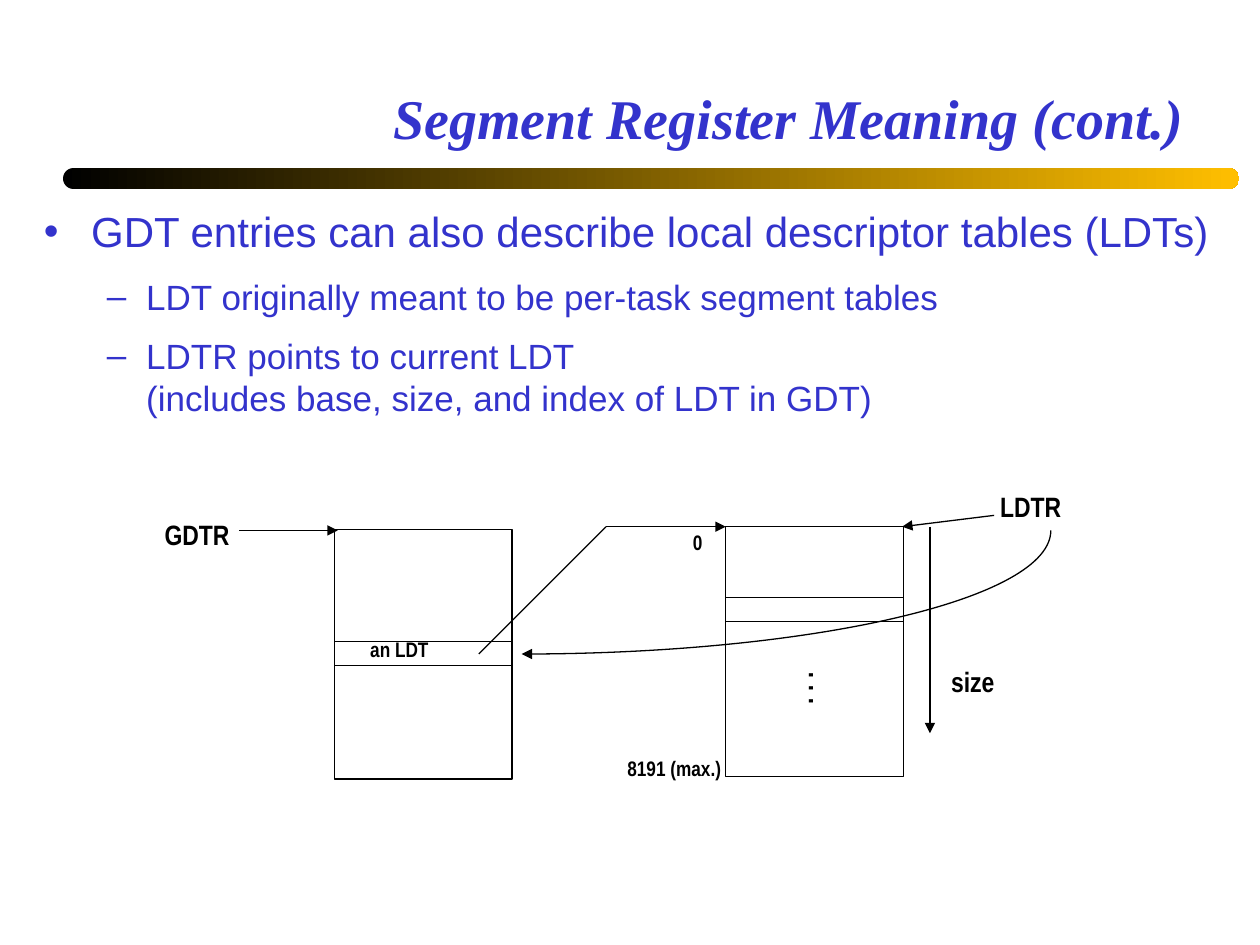
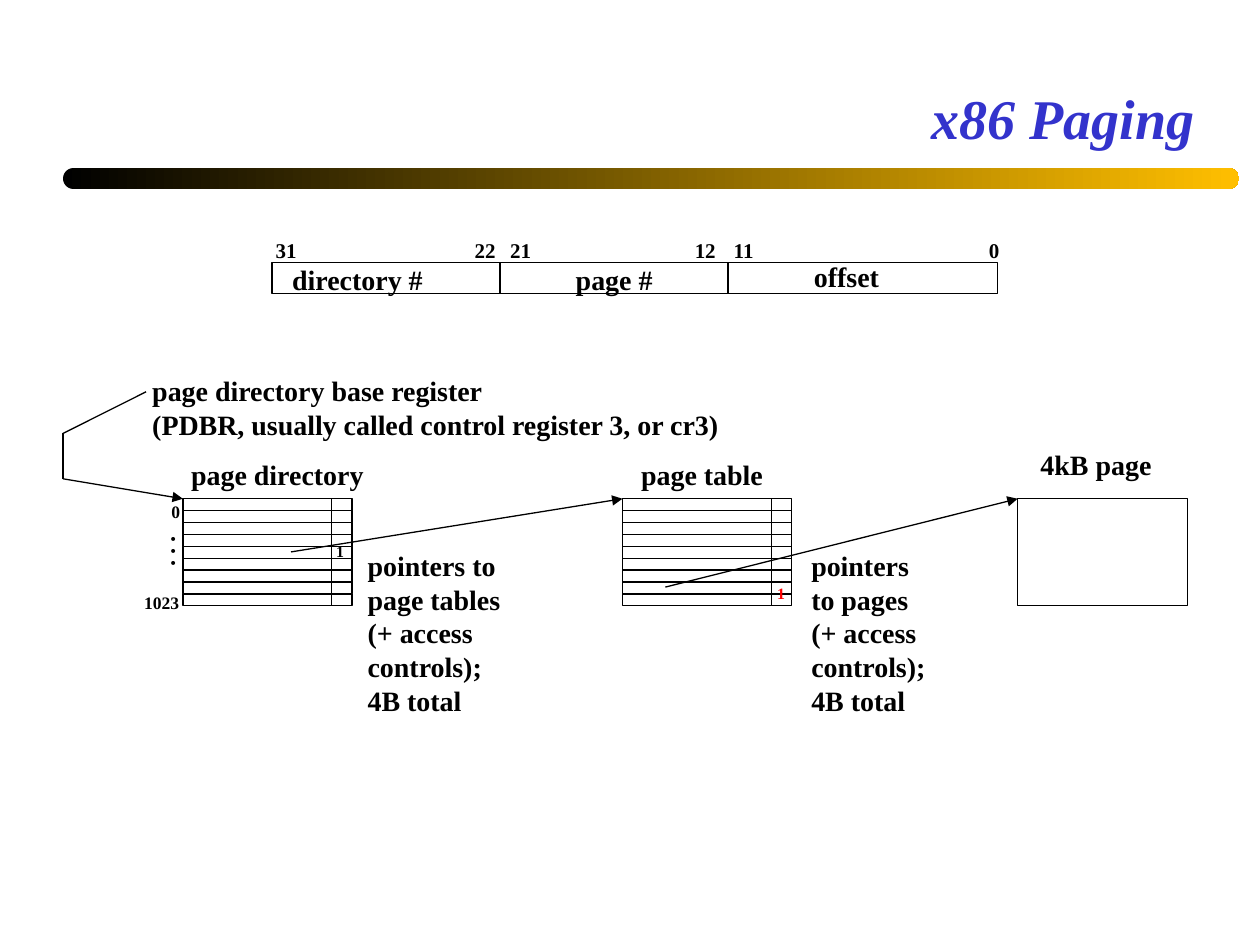
from lxml import etree
from pptx import Presentation
from pptx.dml.color import RGBColor
from pptx.enum.shapes import MSO_CONNECTOR, MSO_SHAPE
from pptx.enum.text import MSO_ANCHOR, MSO_AUTO_SIZE, PP_ALIGN
from pptx.oxml.ns import qn
from pptx.util import Pt

RECT, BAND = MSO_SHAPE.RECTANGLE, MSO_SHAPE.ROUNDED_RECTANGLE
STRAIGHT = MSO_CONNECTOR.STRAIGHT
LEFT, RIGHT = PP_ALIGN.LEFT, PP_ALIGN.RIGHT
TOP, BOTTOM = MSO_ANCHOR.TOP, MSO_ANCHOR.BOTTOM
FIT = MSO_AUTO_SIZE.SHAPE_TO_FIT_TEXT

BLACK, BLUE, GOLD, RED = "000000", "3333CC", "FFBF00", "FF0000"
SANS, NARROW, SERIF = "Arial", "Arial Narrow", "Times New Roman"
LINE_WIDTH = 0.75
LABEL_SLACK = 3  # spare width that keeps a label on one line

# Bullet levels: size, bullet, left margin, hanging indent, space before and after
LEVELS = [(24, "•", 27, 27, 6), (20, "–", 58.5, 22.5, 5)]
BULLETS = [
    (0, "GDT entries can also describe local descriptor tables (LDTs)"),
    (1, "LDT originally meant to be per-task segment tables"),
    (1, "LDTR points to current LDT\n(includes base, size, and index of LDT in GDT)"),
]

# Descriptor tables: left, top, top of the marked entry
DESCRIPTOR_TABLES = [(191, 302.5, 366.5), (414.7, 301, 341.5)]
DESCRIPTOR_SIZE, ENTRY_HEIGHT = (101.7, 142.7), 13.7
# Labels: text, left, top, width, size, alignment
SEGMENT_LABELS = [
    ("GDTR", 87.1, 292, 51.1, 16, RIGHT),
    ("0", 388.8, 298.8, 19.4, 12, LEFT),
    ("8191 (max.)", 351.4, 428.4, 67.7, 12, LEFT),
    ("LDTR", 564.5, 276, 49, 16, RIGHT),
    ("an LDT", 204.5, 360, 47.5, 12, LEFT),
    ("size", 536.4, 376, 38.9, 16, LEFT),
]
# Each arrow is a chain of points with its head at the last one
SEGMENT_ARROWS = [
    [(136.8, 303.1), (193, 303.1)],
    [(273.6, 373.7), (346.3, 301), (414.7, 301)],
    [(568.1, 294.5), (515.5, 301)],
    [(531.4, 301), (531.4, 419)],
]
LDTR_CURVE = (298.1, 373.7), (600.5, 303.1)

# Address fields: name, width, left of name, top of name, width of name
FIELDS = [
    ("directory #", 130.3, 167, 149.8, 74.9),
    ("page #", 130.3, 329, 149.8, 43.9),
    ("offset", 154.1, 465.1, 148.3, 37.4),
]
FIELD_LEFT, FIELD_TOP, FIELD_HEIGHT = 155.5, 149.8, 18
# Bit numbers: text, left, width, alignment
BITS = [
    ("31", 150.5, 25.9, LEFT), ("22", 264.2, 25.9, LEFT),
    ("21", 284.4, 25.9, LEFT), ("12", 390.2, 25.9, RIGHT),
    ("11", 411.8, 25.9, RIGHT), ("0", 558, 20.2, RIGHT),
]
BITS_TOP = 132

PAGE_TABLES_LEFT = [104.5, 355.7]
PAGE_TOP, PAGE_TABLE_WIDTH, ROW_HEIGHT, ROWS, FLAG_OFFSET = 285, 96.7, 6.8, 9, 85
PAGE_BOX = (581.5, PAGE_TOP, 97.2, ROWS * ROW_HEIGHT)
PAGING_LABELS = [
    ("4kB page", 587.5, 252, 77.8, 16, LEFT),
    ("page table", 359.3, 257.8, 83.5, 16, LEFT),
    ("page directory", 102.2, 257.8, 113, 16, LEFT),
    ("page directory base register\n(PDBR, usually called control register 3, or cr3)",
     79.9, 210, 339.1, 16, LEFT),
    ("pointers to\npage tables\n(+ access\ncontrols);\n4B total", 203, 310, 90, 16, LEFT),
    ("pointers\nto pages\n(+ access\ncontrols);\n4B total", 456.5, 310, 79.9, 16, LEFT),
    ("1", 185, 306, 18.7, 9, LEFT),
    ("0", 90.7, 282.5, 19.4, 10, RIGHT),
    ("1023", 75.6, 334.8, 33.8, 10, RIGHT),
]
PAGING_ARROWS = [
    [(166.3, 315.4), (355.7, PAGE_TOP)],
    [(380.2, 335.5), (581.5, PAGE_TOP)],
    [(83.5, 223.9), (36, 247.7), (36, 273.6), (104.5, PAGE_TOP)],
]


def rgb(color):
    return RGBColor.from_string(color)


def add_run(p, text, size, font, color, bold=True, italic=False):
    r = p.add_run()
    r.text = text
    f = r.font
    f.size, f.name, f.bold, f.italic = Pt(size), font, bold, italic
    f.color.rgb = rgb(color)


def add_frame(s, x, y, w, h, wrap=True, anchor=TOP, inset=True):
    """Add an empty text box and return it with its text frame."""
    sp = s.shapes.add_textbox(Pt(x), Pt(y), Pt(w), Pt(h))
    tf = sp.text_frame
    tf.word_wrap, tf.vertical_anchor = wrap, anchor
    if not inset:
        tf.margin_left = tf.margin_right = tf.margin_top = tf.margin_bottom = 0
    return sp, tf


def add_label(s, text, x, y, w, size, align=LEFT, font=SERIF, color=BLACK, inset=True):
    """Add an unwrapped bold label, one paragraph per line, as high as its lines."""
    lines = text.split("\n")
    h = 1.2 * size * len(lines) + (7.2 if inset else 0)
    if align == RIGHT:
        x -= LABEL_SLACK
    sp, tf = add_frame(s, x, y, w + LABEL_SLACK, h, wrap=False, inset=inset)
    tf.auto_size = FIT
    for i, line in enumerate(lines):
        p = tf.add_paragraph() if i else tf.paragraphs[0]
        p.alignment = align
        add_run(p, line, size, font, color)
    return sp


def add_box(s, x, y, w, h):
    sp = s.shapes.add_shape(RECT, Pt(x), Pt(y), Pt(w), Pt(h))
    sp.shadow.inherit = False
    sp.fill.background()
    set_line(sp)


def set_line(sp, arrow=None):
    """Give a thin black line; arrow is 'headEnd', 'tailEnd' or None."""
    sp.line.color.rgb = rgb(BLACK)
    sp.line.width = Pt(LINE_WIDTH)
    if arrow:
        ln = sp._element.spPr.find(qn("a:ln"))
        etree.SubElement(ln, qn("a:" + arrow), type="triangle")


def add_lines(s, points, arrow=False):
    """Join the points with straight connectors, the last one with an arrowhead."""
    last = len(points) - 2
    for i, ((x1, y1), (x2, y2)) in enumerate(zip(points, points[1:])):
        cn = s.shapes.add_connector(STRAIGHT, Pt(x1), Pt(y1), Pt(x2), Pt(y2))
        set_line(cn, "tailEnd" if arrow and i == last else None)
        etree.SubElement(cn._element.spPr, qn("a:effectLst"))


def add_quarter_curve(s, start, end):
    """Draw a quarter ellipse from start, leaving level, up to end, with a head at start."""
    fb = s.shapes.build_freeform(Pt(start[0]), Pt(start[1]))
    fb.add_line_segments([(Pt(end[0]), Pt(end[1]))], close=False)
    sp = fb.convert_to_shape()
    sp.shadow.inherit = False
    sp.fill.background()
    set_line(sp, "headEnd")
    segment = next(sp._element.iter(qn("a:lnTo")))
    w, h = sp.width, sp.height
    curve = etree.Element(qn("a:cubicBezTo"))
    for x, y in [(0.55 * w, h), (w, 0.55 * h), (w, 0)]:
        etree.SubElement(curve, qn("a:pt"), x=str(int(x)), y=str(int(y)))
    segment.getparent().replace(segment, curve)


def add_titled_slide(prs, title, width):
    s = prs.slides.add_slide(prs.slide_layouts[6])
    band = s.shapes.add_shape(BAND, Pt(36), Pt(96), Pt(672), Pt(12))
    band.adjustments[0] = 0.5
    band.shadow.inherit = False
    band.line.fill.background()
    band.fill.gradient()
    band.fill.gradient_angle = 0
    for stop, color in zip(band.fill.gradient_stops, (BLACK, GOLD)):
        stop.color.rgb = rgb(color)
    p = add_frame(s, 36, 22, width, 67.5, anchor=BOTTOM)[1].paragraphs[0]
    p.alignment = RIGHT
    add_run(p, title, 32, SERIF, BLUE, italic=True)
    return s


def add_bullets(s):
    tf = add_frame(s, 18, 114, 684, 144)[1]
    for i, (level, text) in enumerate(BULLETS):
        size, mark, margin, hang, space = LEVELS[level]
        p = tf.add_paragraph() if i else tf.paragraphs[0]
        p.level = level
        p.space_before = p.space_after = Pt(space)
        for j, line in enumerate(text.split("\n")):
            if j:
                p.add_line_break()
            add_run(p, line, size, SANS, BLUE, bold=False)
        pPr = p._p.get_or_add_pPr()
        pPr.set("marL", str(Pt(margin)))
        pPr.set("indent", str(-Pt(hang)))
        etree.SubElement(pPr, qn("a:buFont"), typeface=SANS)
        etree.SubElement(pPr, qn("a:buChar"), char=mark)


def build_segment_slide(prs):
    s = add_titled_slide(prs, "Segment Register Meaning (cont.)", 648)
    add_bullets(s)
    for x, y, entry_y in DESCRIPTOR_TABLES:
        add_box(s, x, y, *DESCRIPTOR_SIZE)
        add_box(s, x, entry_y, DESCRIPTOR_SIZE[0], ENTRY_HEIGHT)
    for label in SEGMENT_LABELS:
        add_label(s, *label, font=NARROW)
    add_label(s, ". . .", 440.6, 378.7, 32.4, 16, font=NARROW).rotation = 270
    for points in SEGMENT_ARROWS:
        add_lines(s, points, arrow=True)
    add_quarter_curve(s, *LDTR_CURVE)


def build_paging_slide(prs):
    s = add_titled_slide(prs, "x86 Paging", 653.8)
    x = FIELD_LEFT
    for name, w, name_x, name_y, name_w in FIELDS:
        add_box(s, x, FIELD_TOP, w, FIELD_HEIGHT)
        add_label(s, name, name_x, name_y, name_w, 16, inset=False)
        x += w
    for text, x, w, align in BITS:
        add_label(s, text, x, BITS_TOP, w, 12, align)

    for x in PAGE_TABLES_LEFT:
        for row in range(ROWS):
            add_box(s, x, PAGE_TOP + row * ROW_HEIGHT, PAGE_TABLE_WIDTH, ROW_HEIGHT)
        flag_x = x + FLAG_OFFSET
        add_lines(s, [(flag_x, PAGE_TOP), (flag_x, PAGE_TOP + ROWS * ROW_HEIGHT)])
    add_box(s, *PAGE_BOX)

    for label in PAGING_LABELS:
        add_label(s, *label)
    add_label(s, "1", 437, 329.8, 18.7, 9, color=RED)
    add_label(s, ". . .", 77, 301.6, 31.7, 14).rotation = 270
    for points in PAGING_ARROWS:
        add_lines(s, points, arrow=True)


def main():
    prs = Presentation()
    prs.slide_width, prs.slide_height = Pt(720), Pt(540)
    build_segment_slide(prs)
    build_paging_slide(prs)
    prs.save("out.pptx")


if __name__ == "__main__":
    main()
